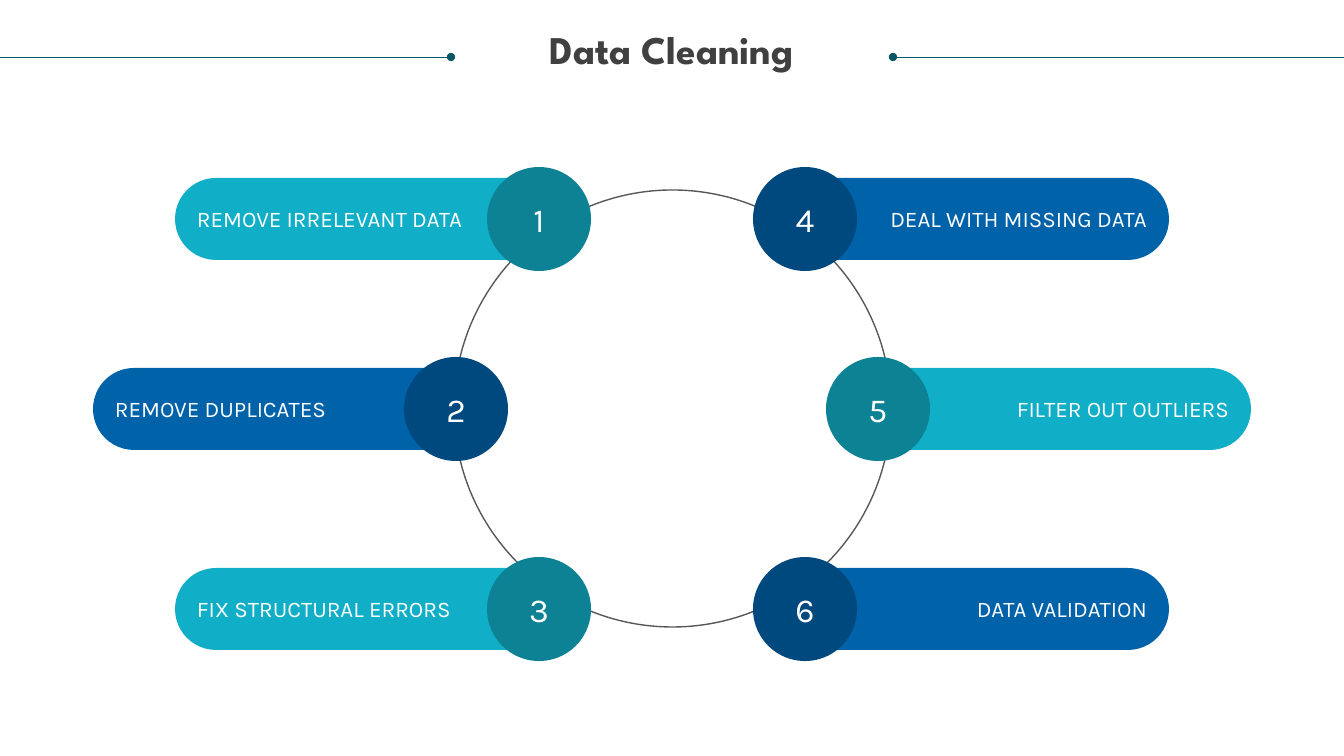
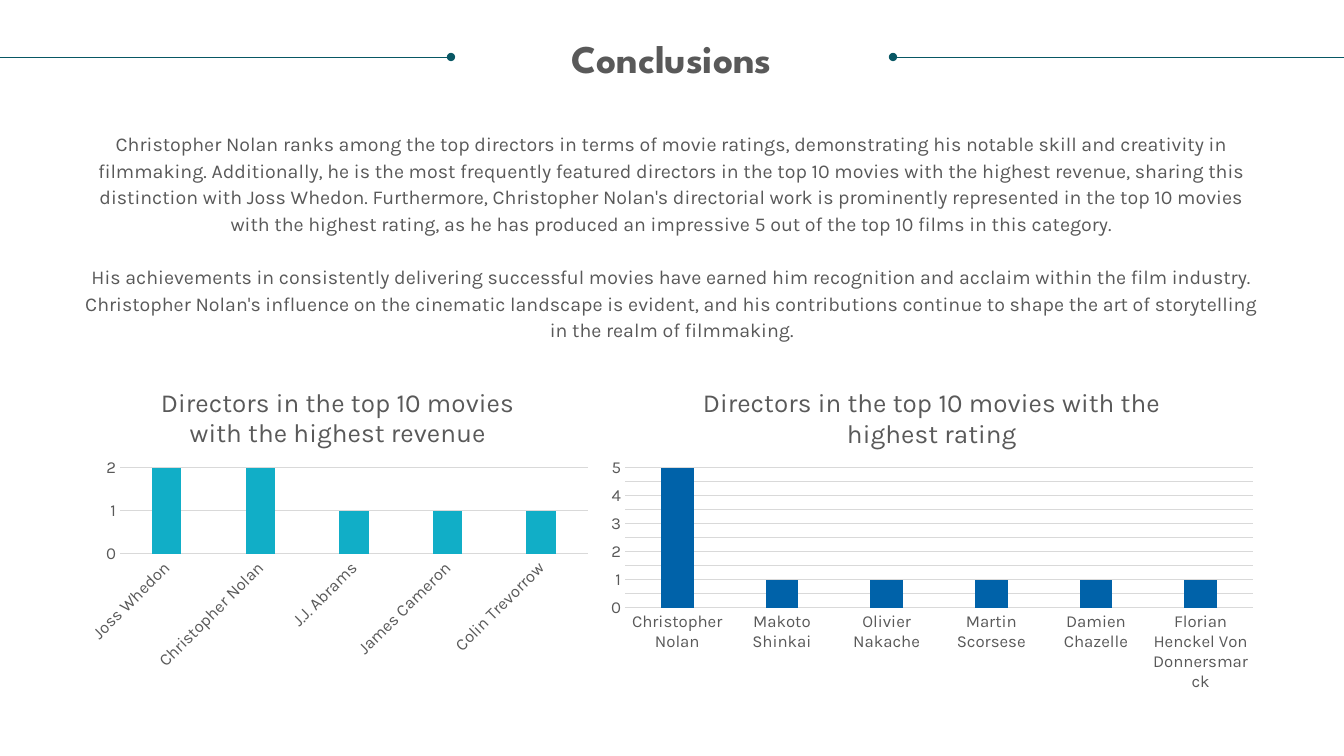
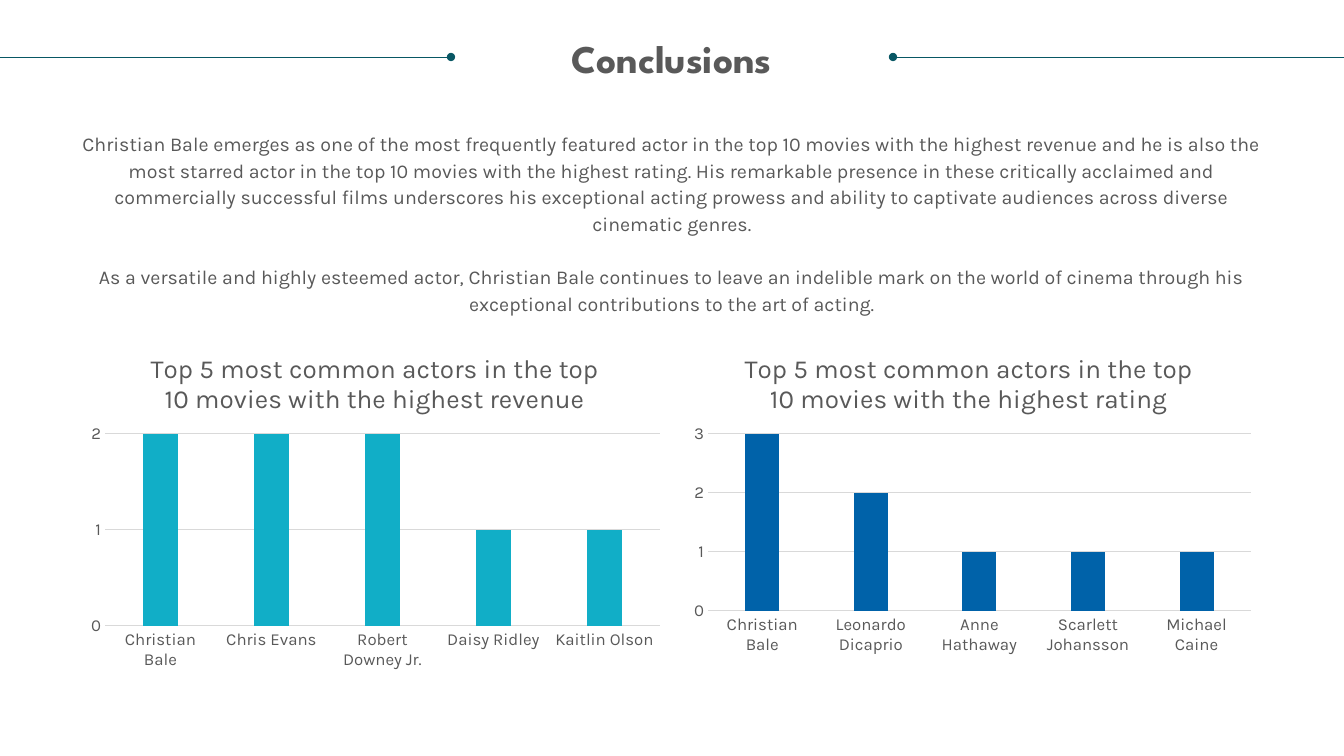
import pptx
import pptx.util
import pptx.chart.data
import pptx.dml.color
import pptx.enum.chart
import pptx.enum.shapes
import pptx.enum.text
import pptx.oxml
import pptx.oxml.ns

WIDE, HIGH = 1344, 756
UNIT = 12192000 / WIDE
HUES = {
    "white": "FFFFFF", "ink": "404040", "gray": "595959", "ring": "585858",
    "rule": "085764", "grid": "D9D9D9", "aqua": "11AEC7", "teal": "0D8295",
    "blue": "0062A9", "navy": "00497F",
}
BODY, HEAD = "Karla", "League Spartan"
ALIGN = pptx.enum.text.PP_ALIGN
MID = pptx.enum.text.MSO_ANCHOR.MIDDLE
FORM = pptx.enum.shapes.MSO_SHAPE
FLAT = {"margin_left": 0, "margin_right": 0, "margin_top": 0, "margin_bottom": 0,
        "word_wrap": True}

RULES = [(451, 0), (893, WIDE)]
PILL = (403, 82)
DISC = 104
RING = (454, 190, 437, 437)
ROWS = [178, 368, 568]
SIDES = [
    {"align": ALIGN.LEFT, "pills": [175, 93, 175], "discs": [487, 404, 487],
     "tones": [("aqua", "teal"), ("blue", "navy"), ("aqua", "teal")],
     "texts": ["REMOVE IRRELEVANT DATA", "REMOVE DUPLICATES", "FIX STRUCTURAL ERRORS"]},
    {"align": ALIGN.RIGHT, "pills": [766, 848, 766], "discs": [753, 826, 753],
     "tones": [("blue", "navy"), ("aqua", "teal"), ("blue", "navy")],
     "texts": ["DEAL WITH MISSING DATA", "FILTER OUT OUTLIERS", "DATA VALIDATION"]},
]

PAGES = [
    {"box": (78, 129, 1188, 185),
     "paras": [
         "Christopher Nolan ranks among the top directors in terms of movie ratings, demonstrating his notable skill and creativity in filmmaking. Additionally, he is the most frequently featured directors in the top 10 movies with the highest revenue, sharing this distinction with Joss Whedon. Furthermore, Christopher Nolan's directorial work is prominently represented in the top 10 movies with the highest rating, as he has produced an impressive 5 out of the top 10 films in this category.",
         "His achievements in consistently delivering successful movies have earned him recognition and acclaim within the film industry. Christopher Nolan's influence on the cinematic landscape is evident, and his contributions continue to shape the art of storytelling in the realm of filmmaking."],
     "charts": [
         {"title": "Directors in the top 10 movies with the highest revenue",
          "box": (78, 369, 520, 307), "plot": (120, 468, 468, 86),
          "hue": "aqua", "step": 1, "turn": -45,
          "data": [("Joss Whedon", 2), ("Christopher Nolan", 2), ("J.J. Abrams", 1),
                   ("James Cameron", 1), ("Colin Trevorrow", 1)]},
         {"title": "Directors in the top 10 movies with the highest rating",
          "box": (598, 369, 668, 330), "plot": (625, 468, 628, 140),
          "hue": "blue", "step": 0.5, "turn": 0,
          "data": [("Christopher Nolan", 5), ("Makoto Shinkai", 1), ("Olivier Nakache", 1),
                   ("Martin Scorsese", 1), ("Damien Chazelle", 1),
                   ("Florian Henckel Von Donnersmarck", 1)]}]},
    {"box": (78, 129, 1188, 159),
     "paras": [
         "Christian Bale emerges as one of the most frequently featured actor in the top 10 movies with the highest revenue and he is also the most starred actor in the top 10 movies with the highest rating. His remarkable presence in these critically acclaimed and commercially successful films underscores his exceptional acting prowess and ability to captivate audiences across diverse cinematic genres.",
         "As a versatile and highly esteemed actor, Christian Bale continues to leave an indelible mark on the world of cinema through his exceptional contributions to the art of acting."],
     "charts": [
         {"title": "Top 5 most common actors in the top 10 movies with the highest revenue",
          "box": (78, 334, 594, 343), "plot": (105, 434, 555, 192),
          "hue": "aqua", "step": 1, "turn": 0,
          "data": [("Christian Bale", 2), ("Chris Evans", 2), ("Robert Downey Jr.", 2),
                   ("Daisy Ridley", 1), ("Kaitlin Olson", 1)]},
         {"title": "Top 5 most common actors in the top 10 movies with the highest rating",
          "box": (672, 334, 594, 343), "plot": (708, 434, 543, 177),
          "hue": "blue", "step": 1, "turn": 0,
          "data": [("Christian Bale", 3), ("Leonardo Dicaprio", 2), ("Anne Hathaway", 1),
                   ("Scarlett Johansson", 1), ("Michael Caine", 1)]}]},
]


def px(*vals):
    return [pptx.util.Emu(round(val * UNIT)) for val in vals]


def put(item, **vals):
    for key, val in vals.items():
        setattr(item, key, val)


def tint(hue):
    return pptx.dml.color.RGBColor.from_string(HUES[hue])


def paint(fill, hue):
    fill.solid()
    fill.fore_color.rgb = tint(hue)


def ink(font, size, hue, name=BODY, bold=False):
    put(font, size=pptx.util.Pt(size), name=name, bold=bold)
    font.color.rgb = tint(hue)


def stroke(line, hue, width):
    paint(line.fill, hue)
    line.width = pptx.util.Pt(width)


def write(para, text, style, **vals):
    put(para, **vals)
    run = para.add_run()
    run.text = text
    ink(run.font, *style)


def node(tag, **vals):
    item = pptx.oxml.parse_xml(f"<{tag} {pptx.oxml.ns.nsdecls(tag.split(':')[0])}/>")
    for key, val in vals.items():
        item.set(key, str(val))
    return item


def shape(slide, form, box):
    item = slide.shapes.add_shape(form, *px(*box))
    item.shadow.inherit = False
    return item


def block(slide, form, box, hue, text, size, align):
    item = shape(slide, form, box)
    paint(item.fill, hue)
    item.line.fill.background()
    put(item.text_frame, vertical_anchor=MID, word_wrap=True)
    write(item.text_frame.paragraphs[0], text, (size, "white"), alignment=align)
    return item


def note(slide, box):
    frame = slide.shapes.add_textbox(*px(*box)).text_frame
    put(frame, **FLAT)
    return frame


def start(deck, title, top, hue):
    slide = deck.slides.add_slide(deck.slide_layouts[6])
    for dot, edge in RULES:
        line = slide.shapes.add_connector(
            pptx.enum.shapes.MSO_CONNECTOR.STRAIGHT, *px(dot, 57, edge, 57))
        stroke(line.line, "rule", 0.5)
        line.line._get_or_add_ln().append(node("a:headEnd", type="oval"))
        line._element.spPr.append(node("a:effectLst"))
    frame = note(slide, (25, top, 1293, 42))
    write(frame.paragraphs[0], title, (28, hue, HEAD, True),
          alignment=ALIGN.CENTER, line_spacing=0.9)
    return slide


def place(chart, box, plot):
    spot = node("c:manualLayout")
    parts = [("layoutTarget", "inner"), ("xMode", "edge"), ("yMode", "edge"),
             ("x", round((plot[0] - box[0]) / box[2], 4)),
             ("y", round((plot[1] - box[1]) / box[3], 4)),
             ("w", round(plot[2] / box[2], 4)), ("h", round(plot[3] / box[3], 4))]
    for tag, val in parts:
        spot.append(node("c:" + tag, val=val))
    area = chart._chartSpace.chart.plotArea
    for old in area.findall(pptx.oxml.ns.qn("c:layout")):
        area.remove(old)
    frame = node("c:layout")
    frame.append(spot)
    area.insert(0, frame)


def graph(slide, title, box, plot, hue, step, turn, data):
    names, vals = zip(*data)
    feed = pptx.chart.data.CategoryChartData()
    feed.categories = names
    feed.add_series("Series 1", vals)
    chart = slide.shapes.add_chart(
        pptx.enum.chart.XL_CHART_TYPE.COLUMN_CLUSTERED, *px(*box), feed).chart
    put(chart, has_legend=False, has_title=True)
    ink(chart.font, 10, "gray")
    write(chart.chart_title.text_frame.paragraphs[0], title, (18.6, "gray"))
    chart.chart_title.include_in_layout = False
    bars = chart.plots[0]
    put(bars, gap_width=219, overlap=-27, vary_by_categories=False)
    paint(bars.series[0].format.fill, hue)
    none = pptx.enum.chart.XL_TICK_MARK.NONE
    cat, val = chart.category_axis, chart.value_axis
    for axis in (cat, val):
        put(axis, major_tick_mark=none, minor_tick_mark=none)
        ink(axis.tick_labels.font, 12, "gray")
    put(val, minimum_scale=0, maximum_scale=max(vals), major_unit=step,
        has_major_gridlines=True)
    val.format.line.fill.background()
    for line in (cat.format.line, val.major_gridlines.format.line):
        stroke(line, "grid", 0.75)
    turns = cat._element.find(".//" + pptx.oxml.ns.qn("a:bodyPr"))
    turns.set("rot", str(turn * 60000))
    turns.set("vert", "horz")
    place(chart, box, plot)


def steps(deck):
    slide = start(deck, "Data Cleaning", 31, "ink")
    ring = shape(slide, FORM.OVAL, RING)
    ring.fill.background()
    stroke(ring.line, "ring", 1)
    count = 0
    for side in SIDES:
        cells = zip(ROWS, side["pills"], side["discs"], side["tones"], side["texts"])
        for top, left, disc, (light, dark), text in cells:
            count += 1
            pill = block(slide, FORM.ROUNDED_RECTANGLE, (left, top, *PILL),
                         light, text, 16, side["align"])
            pill.adjustments[0] = 0.5
            rise = (DISC - PILL[1]) / 2
            block(slide, FORM.OVAL, (disc, top - rise, DISC, DISC),
                  dark, str(count), 24, ALIGN.CENTER)


def close(deck, page):
    slide = start(deck, "Conclusions", 40, "gray")
    frame = note(slide, page["box"])
    gap = pptx.util.Pt(19)
    for spot, text in enumerate(page["paras"]):
        para = frame.add_paragraph() if spot else frame.paragraphs[0]
        write(para, text, (14, "gray"), alignment=ALIGN.CENTER,
              line_spacing=gap, space_before=gap if spot else 0)
    for item in page["charts"]:
        graph(slide, **item)


def main():
    deck = pptx.Presentation()
    deck.slide_width, deck.slide_height = px(WIDE, HIGH)
    steps(deck)
    for page in PAGES:
        close(deck, page)
    deck.save("out.pptx")


if __name__ == "__main__":
    main()
